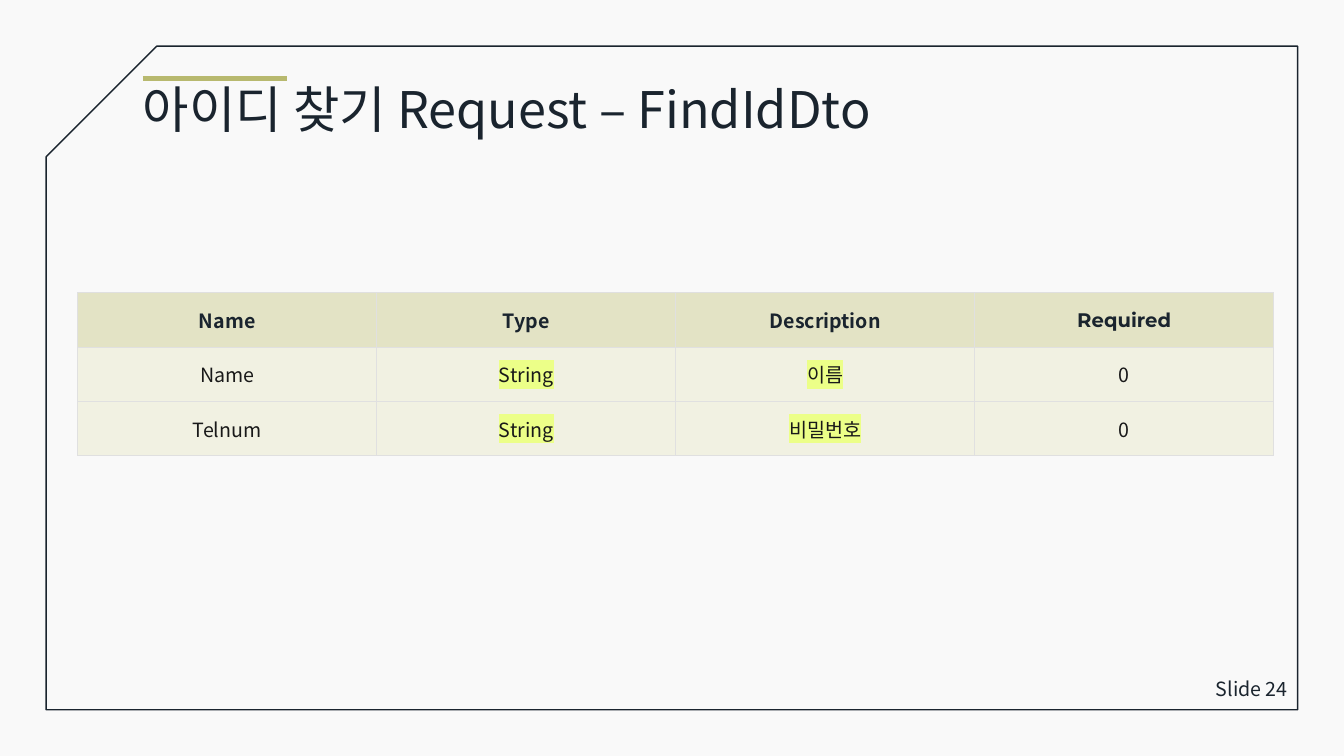
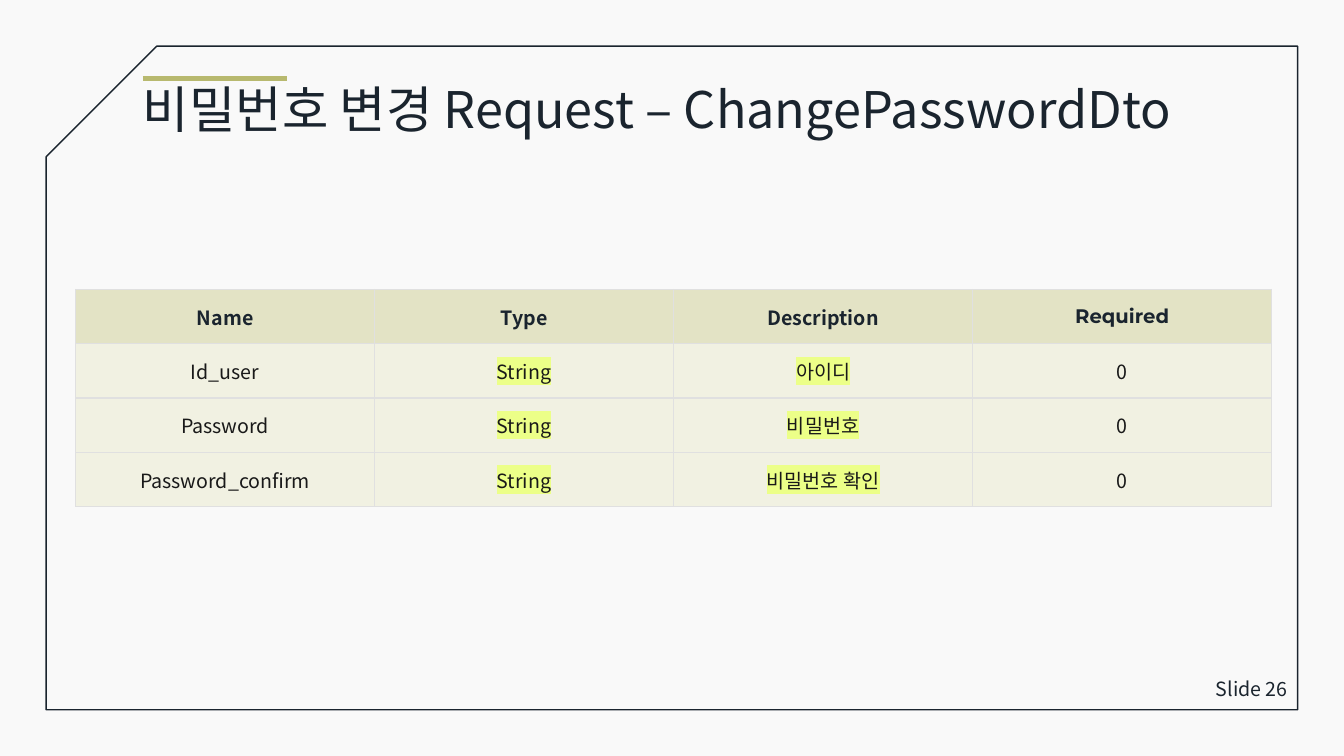
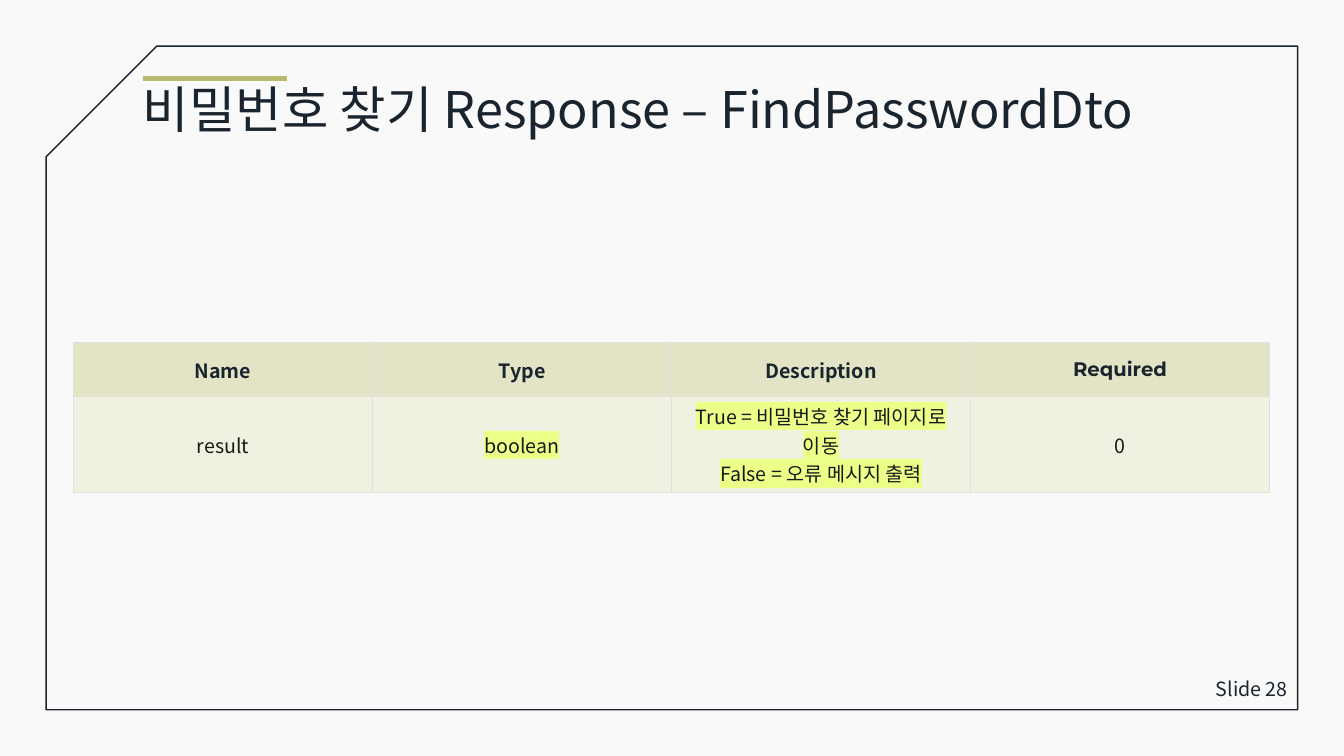
import pptx
import pptx.util
import pptx.dml.color
import pptx.enum.shapes
import pptx.enum.text
import pptx.oxml
import pptx.oxml.ns
import lxml.etree

Pt = pptx.util.Pt
ALIGN = pptx.enum.text.PP_ALIGN
ANCHOR = pptx.enum.text.MSO_ANCHOR
qn = pptx.oxml.ns.qn

# Content: cell lines are separated by line breaks
HEADINGS = ("Name", "Type", "Description", "Required")
SLIDES = [
    {"number": 24, "title": "아이디 찾기 Request – FindIdDto",
     "table_at": (55.5, 209.2), "row_height": 38.8,
     "rows": [("Name", "String", "이름", "0"),
              ("Telnum", "String", "비밀번호", "0")]},
    {"number": 26, "title": "비밀번호 변경 Request – ChangePasswordDto",
     "table_at": (54, 206.8), "row_height": 38.8,
     "rows": [("Id_user", "String", "아이디", "0"),
              ("Password", "String", "비밀번호", "0"),
              ("Password_confirm", "String", "비밀번호 확인", "0")]},
    {"number": 28, "title": "비밀번호 찾기 Response – FindPasswordDto",
     "table_at": (52.5, 244.6), "row_height": 68.6,
     "rows": [("result", "boolean",
               "True = 비밀번호 찾기 페이지로 이동\nFalse = 오류 메시지 출력", "0")]},
]

# Shared style
COLORS = {"paper": "F9F9F9", "ink": "1A242E", "accent": "B8B96F", "border": "E0E0E0",
          "head": "E3E3C5", "body": "F1F1E2", "body_text": "191919", "marker": "ECFF88"}
FONT = "Noto Sans CJK KR"
HEADING_FONTS = (FONT, FONT, FONT, "Montserrat")
MARKED_COLUMNS = (1, 2)
COLUMN_WIDTH = 213.6
HEADING_HEIGHT = 38.8
FRAME = (33, 33, 894, 474)
ACCENT_LINE = (102, 56.2, 205, 56.2)
TITLE_BOX = (95, 60.5, 832, 50.4)
NUMBER_BOX = (833, 477.4, 94, 29.5)


def color(name):
    return pptx.dml.color.RGBColor.from_string(COLORS[name])


def points(values):
    return [Pt(value) for value in values]


def solid_fill(parent, name):
    fill = lxml.etree.SubElement(parent, qn("a:solidFill"))
    lxml.etree.SubElement(fill, qn("a:srgbClr"), val=COLORS[name])


def add_span(para, text, size, ink="ink", font=FONT, bold=False, marked=False):
    span = para.add_run()
    span.text = text
    span.font.size = Pt(size)
    span.font.bold = bold
    span.font.color.rgb = color(ink)
    properties = span.font._element
    if marked:
        marker = lxml.etree.SubElement(properties, qn("a:highlight"))
        lxml.etree.SubElement(marker, qn("a:srgbClr"), val=COLORS["marker"])
    span.font.name = font
    lxml.etree.SubElement(properties, qn("a:ea"), typeface=font)


def add_text(page, place, text, size, align, anchor):
    box = page.shapes.add_textbox(*points(place))
    frame = box.text_frame
    frame.word_wrap = True
    frame.vertical_anchor = anchor
    frame.margin_top = frame.margin_bottom = 0
    para = frame.paragraphs[0]
    para.alignment = align
    add_span(para, text, size)
    return para


def add_base(page, title, number):
    # Frame with a cut corner
    frame = page.shapes.add_shape(pptx.enum.shapes.MSO_SHAPE.SNIP_1_RECTANGLE, *points(FRAME))
    frame.shadow.inherit = False
    frame.fill.background()
    frame.line.color.rgb = color("ink")
    frame.line.width = Pt(1)
    frame._element.spPr.find(qn("a:xfrm")).set("flipH", "1")

    # Accent line above the title
    accent = page.shapes.add_connector(
        pptx.enum.shapes.MSO_CONNECTOR.STRAIGHT, *points(ACCENT_LINE))
    accent.line.color.rgb = color("accent")
    accent.line.width = Pt(4)
    lxml.etree.SubElement(accent._element.spPr, qn("a:effectLst"))

    # Slide number and title
    add_text(page, NUMBER_BOX, f"Slide {number}", 14, ALIGN.RIGHT, ANCHOR.MIDDLE)
    heading = add_text(page, TITLE_BOX, title, 36, ALIGN.LEFT, ANCHOR.TOP)
    heading.line_spacing = 0.9


def style_cell(cell, fill):
    cell.vertical_anchor = ANCHOR.MIDDLE
    cell.fill.solid()
    cell.fill.fore_color.rgb = color(fill)
    properties = cell._tc.get_or_add_tcPr()
    for index, side in enumerate(("a:lnL", "a:lnR", "a:lnT", "a:lnB")):
        border = lxml.etree.Element(qn(side), w=str(Pt(1)))
        solid_fill(border, "border")
        properties.insert(index, border)


def add_field_table(page, place, rows, row_height):
    records = [HEADINGS, *rows]
    heights = [HEADING_HEIGHT] + [row_height] * len(rows)
    size = (COLUMN_WIDTH * len(HEADINGS), sum(heights))
    table = page.shapes.add_table(
        len(records), len(HEADINGS), *points(place + size)).table
    table.first_row = False
    table.horz_banding = False
    for column in table.columns:
        column.width = Pt(COLUMN_WIDTH)
    for row_index, record in enumerate(records):
        table.rows[row_index].height = Pt(heights[row_index])
        for column_index, text in enumerate(record):
            cell = table.cell(row_index, column_index)
            if row_index == 0:
                fill = "head"
                style = {"font": HEADING_FONTS[column_index], "bold": True}
            else:
                fill = "body"
                style = {"ink": "body_text", "marked": column_index in MARKED_COLUMNS}
            style_cell(cell, fill)
            for line_index, line in enumerate(text.split("\n")):
                frame = cell.text_frame
                para = frame.add_paragraph() if line_index else frame.paragraphs[0]
                para.alignment = ALIGN.CENTER
                add_span(para, line, 14, **style)


def main():
    deck = pptx.Presentation()
    deck.slide_width, deck.slide_height = Pt(960), Pt(540)
    background = deck.slide_master.background.fill
    background.solid()
    background.fore_color.rgb = color("paper")
    for content in SLIDES:
        page = deck.slides.add_slide(deck.slide_layouts[6])
        add_base(page, content["title"], content["number"])
        add_field_table(page, content["table_at"], content["rows"], content["row_height"])
    deck.save("out.pptx")


if __name__ == "__main__":
    main()
